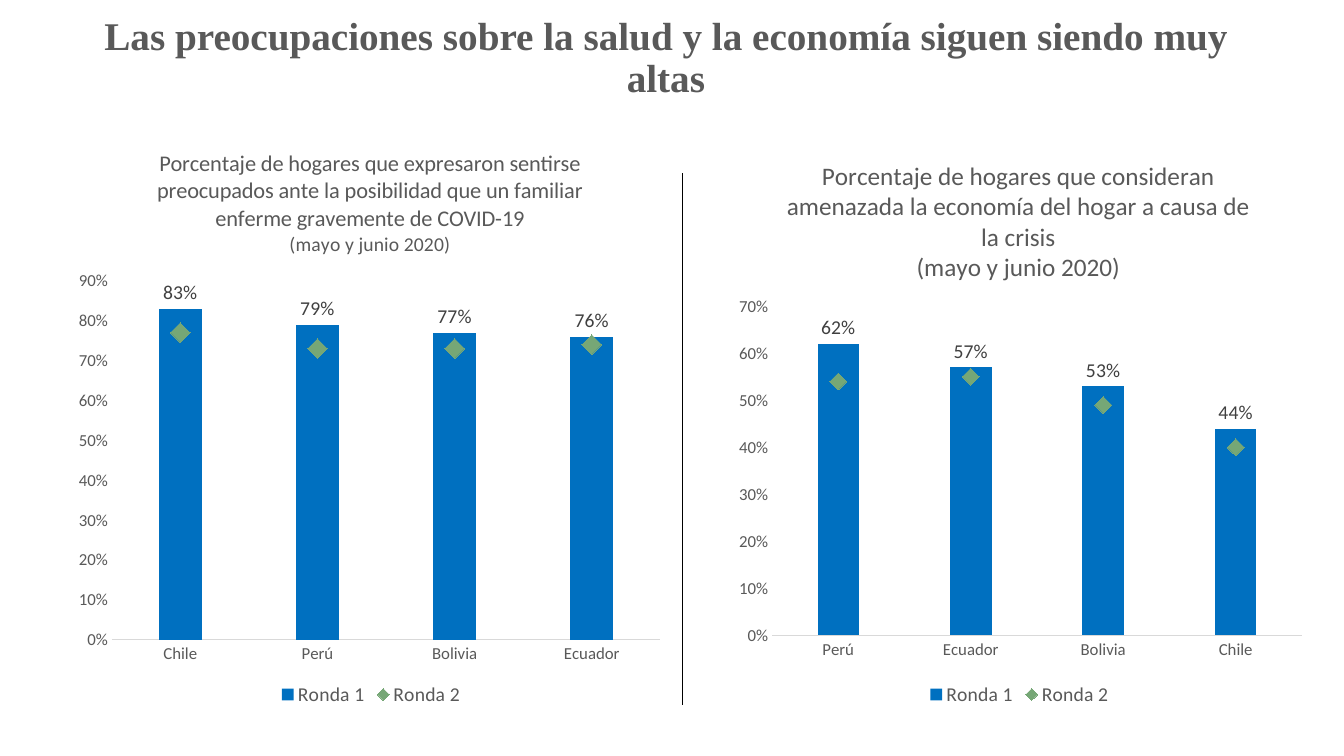
from lxml import etree
from pptx import Presentation
from pptx import util as u
from pptx.chart.data import CategoryChartData
from pptx.dml.color import RGBColor
from pptx.enum import chart as ch, shapes, text
from pptx.oxml import ns

COLORS = {"gray": "595959", "label": "404040", "axis": "D9D9D9",
          "bar": "0070C0", "marker": "76A776", "divider": "000000"}


def style(font, color="gray", **values):
    for name, value in {"name": "Calibri", "bold": False, **values}.items():
        setattr(font, name, value)
    font.color.rgb = RGBColor.from_string(COLORS[color])


def place(parent, index, **box):
    for old in parent.findall(ns.qn("c:layout")):
        parent.remove(old)
    layout = etree.Element(ns.qn("c:layout"))
    parent.insert(index, layout)
    manual = etree.SubElement(layout, ns.qn("c:manualLayout"))
    if "w" in box:
        etree.SubElement(manual, ns.qn("c:layoutTarget"), val="inner")
    for mode in ("xMode", "yMode"):
        etree.SubElement(manual, ns.qn("c:" + mode), val="edge")
    for key, value in box.items():
        etree.SubElement(manual, ns.qn("c:" + key), val=str(value))


prs = Presentation()
prs.slide_width, prs.slide_height = u.Inches(13.33), u.Inches(7.5)
s = prs.slides.add_slide(prs.slide_layouts[5])

title = s.shapes.title
for name, value in {"left": 0.54, "top": 0.21, "width": 12.13, "height": 0.74}.items():
    setattr(title, name, u.Inches(value))
tf = title.text_frame
tf.text = "Las preocupaciones sobre la salud y la economía siguen siendo muy altas"
tf.vertical_anchor = text.MSO_ANCHOR.MIDDLE
tf.auto_size = text.MSO_AUTO_SIZE.NONE
tf.word_wrap = True
p = tf.paragraphs[0]
p.alignment = text.PP_ALIGN.CENTER
p.line_spacing = 0.9
style(p.runs[0].font, name="Times New Roman", size=u.Pt(28), bold=True)

panels = [
    {"box": (0.69, 1.21, 5.98, 5.84), "max": 0.9, "marker": 14,
     "title": [("Porcentaje de hogares que expresaron sentirse preocupados ante la "
                "posibilidad que un familiar enferme gravemente de COVID-19", 16),
               ("(mayo y junio 2020)", 14)],
     "title_at": {"x": 0.14, "y": 0.04},
     "plot_at": {"x": 0.07, "y": 0.27, "w": 0.91, "h": 0.61},
     "cats": ["Chile", "Perú", "Bolivia", "Ecuador"],
     "rounds": [(0.83, 0.79, 0.77, 0.76), (0.77, 0.73, 0.73, 0.74)]},
    {"box": (7.19, 1.32, 5.84, 5.73), "max": 0.7, "marker": 12,
     "title": [("Porcentaje de hogares que consideran amenazada la economía del "
                "hogar a causa de la crisis", 18),
               ("(mayo y junio 2020)", 18)],
     "title_at": {"x": 0.1, "y": 0.04},
     "plot_at": {"x": 0.08, "y": 0.3, "w": 0.9, "h": 0.57},
     "cats": ["Perú", "Ecuador", "Bolivia", "Chile"],
     "rounds": [(0.62, 0.57, 0.53, 0.44), (0.54, 0.55, 0.49, 0.4)]},
]

for panel in panels:
    data = CategoryChartData(number_format="0%")
    data.categories = panel["cats"]
    for number, values in enumerate(panel["rounds"], 1):
        data.add_series(f"Ronda {number}", values)
    chart = s.shapes.add_chart(ch.XL_CHART_TYPE.COLUMN_CLUSTERED,
                               *map(u.Inches, panel["box"]), data).chart
    style(chart.font, size=u.Pt(10))

    tf = chart.chart_title.text_frame
    for i, (line, size) in enumerate(panel["title"]):
        p = tf.add_paragraph() if i else tf.paragraphs[0]
        r = p.add_run()
        r.text = line
        style(r.font, size=u.Pt(size))

    chart.has_legend = True
    chart.legend.position = ch.XL_LEGEND_POSITION.BOTTOM
    chart.legend.include_in_layout = False
    style(chart.legend.font, size=u.Pt(14))

    for axis in (chart.category_axis, chart.value_axis):
        axis.has_major_gridlines = False
        axis.major_tick_mark = axis.minor_tick_mark = ch.XL_TICK_MARK.NONE
        style(axis.tick_labels.font, size=u.Pt(12))
    line = chart.category_axis.format.line
    line.color.rgb = RGBColor.from_string(COLORS["axis"])
    line.width = u.Pt(0.75)
    axis = chart.value_axis
    axis.format.line.fill.background()
    for name, value in {"minimum_scale": 0, "maximum_scale": panel["max"],
                        "major_unit": 0.1}.items():
        setattr(axis, name, value)
    axis.tick_labels.number_format = "0%"
    axis.tick_labels.number_format_is_linked = False

    columns = chart.plots[0]
    for name, value in {"gap_width": 219, "overlap": -27, "vary_by_categories": False}.items():
        setattr(columns, name, value)
    bars = columns.series[0]
    bars.format.fill.solid()
    bars.format.fill.fore_color.rgb = RGBColor.from_string(COLORS["bar"])
    labels = bars.data_labels
    for name, value in {"show_value": True, "number_format": "0%",
                        "number_format_is_linked": False,
                        "position": ch.XL_LABEL_POSITION.OUTSIDE_END}.items():
        setattr(labels, name, value)
    style(labels.font, "label", size=u.Pt(14))

    bar_xml = bars._element.getparent()
    second = columns.series[1]._element
    for flag in second.findall(ns.qn("c:invertIfNegative")):
        second.remove(flag)
    line_xml = bar_xml.makeelement(ns.qn("c:lineChart"))
    bar_xml.addnext(line_xml)
    for tag, value in (("grouping", "standard"), ("varyColors", "0")):
        etree.SubElement(line_xml, ns.qn("c:" + tag), val=value)
    line_xml.append(second)
    etree.SubElement(line_xml, ns.qn("c:marker"), val="1")
    for axis_id in bar_xml.findall(ns.qn("c:axId")):
        etree.SubElement(line_xml, ns.qn("c:axId"), val=axis_id.get("val"))

    diamonds = chart.plots[1].series[0]
    diamonds.smooth = False
    diamonds.format.line.fill.background()
    marker = diamonds.marker
    marker.style = ch.XL_MARKER_STYLE.DIAMOND
    marker.size = panel["marker"]
    for fill in (marker.format.fill, marker.format.line.fill):
        fill.solid()
        fill.fore_color.rgb = RGBColor.from_string(COLORS["marker"])

    place(chart.chart_title._element, 1, **panel["title_at"])
    place(bar_xml.getparent(), 0, **panel["plot_at"])

divider = s.shapes.add_connector(shapes.MSO_CONNECTOR.STRAIGHT, u.Inches(6.77),
                                 u.Inches(1.72), u.Inches(6.77), u.Inches(6.99))
divider.line.color.rgb = RGBColor.from_string(COLORS["divider"])
divider.line.width = u.Pt(0.5)
etree.SubElement(divider._element.spPr, ns.qn("a:effectLst"))

prs.save("out.pptx")
